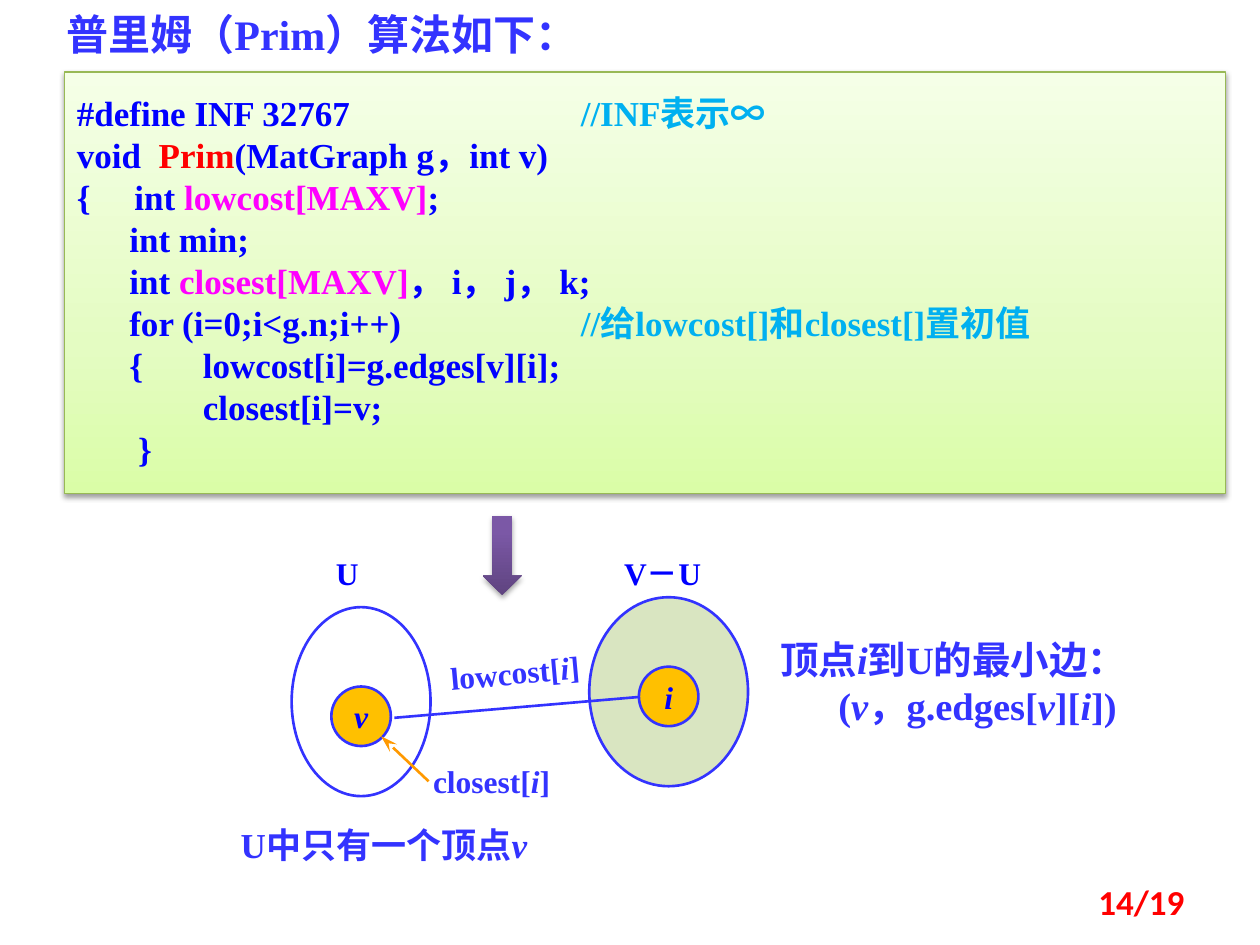
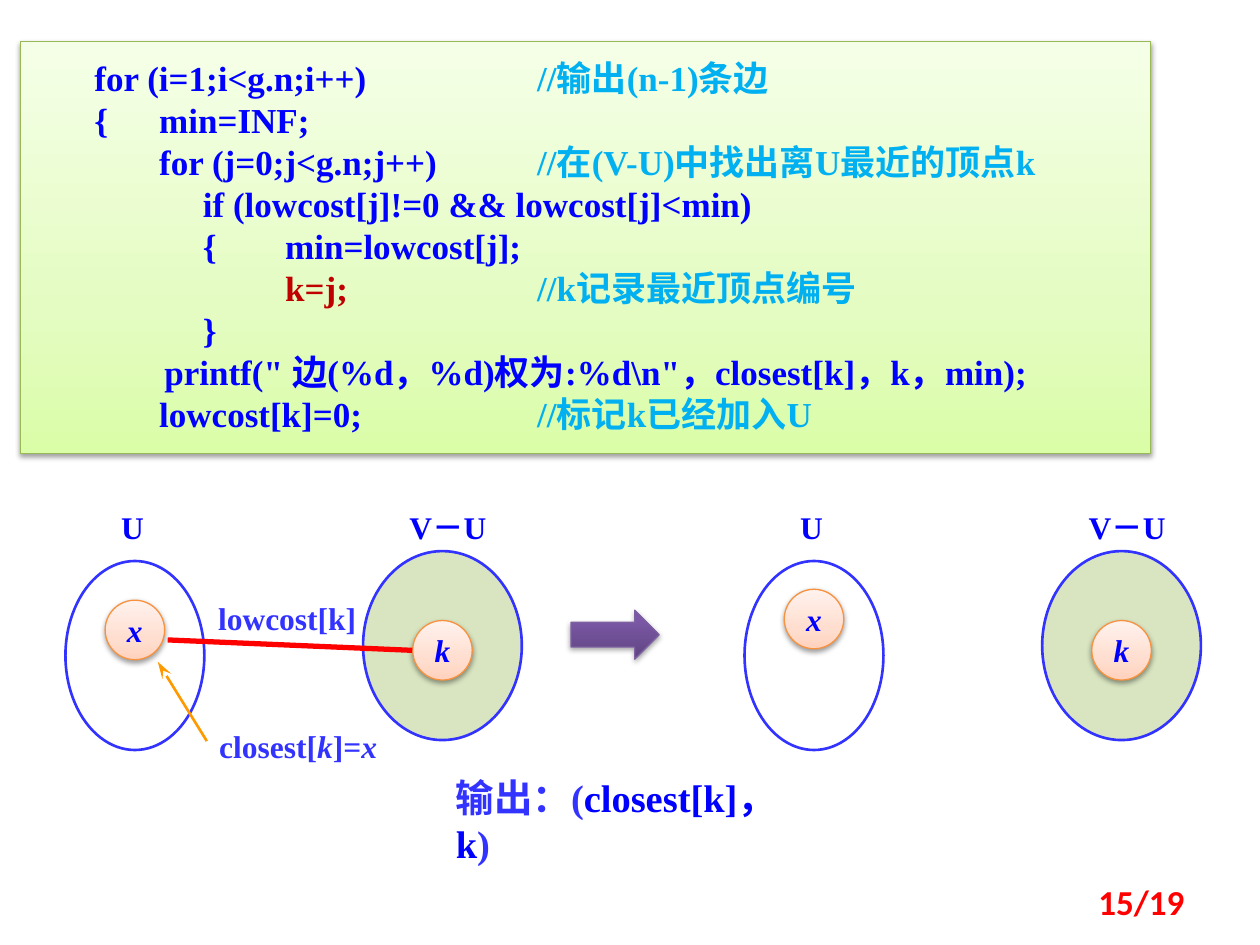
from dataclasses import dataclass
from typing import NamedTuple

from lxml import etree
from pptx import Presentation
from pptx import util as u
from pptx.dml.color import RGBColor
from pptx.enum import shapes, text
from pptx.oxml.ns import qn

COLORS = {
    "code": "0000FF", "comment": "00B0F0", "array": "FF00FF", "key": "C00000",
    "red": "FF0000", "note": "3333FF", "pointer": "FF9900",
    "panel_edge": "98B955", "peach_edge": "F69240", "arrow_edge": "7D60A0",
    "rest": "C3D69B", "amber": "FFC000", "black": "000000",
}
GRADIENTS = {
    "panel": ((0, "DAFDA7"), (35, "E4FCC2"), (100, "F5FFE7")),
    "peach": ((0, "FFD2BD"), (35, "FFDED0"), (100, "FFF2ED")),
    "arrow": ((0, "5F4480"), (80, "7B58A6"), (100, "7C57A8")),
}
SERIF = "Times New Roman"
TAB_STEP = 2.54
TAB_COUNT = 4
LEFT, CENTER, RIGHT = text.PP_ALIGN.LEFT, text.PP_ALIGN.CENTER, text.PP_ALIGN.RIGHT
TOP, MIDDLE = text.MSO_ANCHOR.TOP, text.MSO_ANCHOR.MIDDLE
KIND = shapes.MSO_SHAPE


class Area(NamedTuple):
    left: float
    top: float
    width: float
    height: float

    def lengths(self) -> list:
        return [u.Cm(value) for value in self]


class Span(NamedTuple):
    text: str
    color: str = "code"
    italic: bool = False


class Style(NamedTuple):
    fill: str = ""
    edge: str = ""
    weight: float = 0.75
    shadow: int = 0
    opacity: int = 100


@dataclass
class Label:
    area: Area
    lines: list
    size: int = 18
    align: int = LEFT
    anchor: int = TOP
    font: str = SERIF
    rotation: float = 0
    second_indent: float = 0


@dataclass
class Cut:
    left: float
    top: float
    inner: str
    outer: str
    inner_drop: float
    label_shift: float
    node: Style


PANEL = Style("panel", "panel_edge", shadow=38)
AMBER_NODE = Style("amber", "note", 1.5)
PEACH_NODE = Style("peach", "peach_edge", shadow=38)
CHOSEN_SET = Style(edge="note", weight=1.5)
REST_SET = Style("rest", "note", 1.5, opacity=62)


def rgb(name: str) -> RGBColor:
    return RGBColor.from_string(COLORS[name])


def mixed(source: str, color: str = "note") -> list:
    parts = source.split("*")
    return [Span(part, color, index % 2 == 1) for index, part in enumerate(parts) if part]


def write(frame, lines: list, size: int, align: int = LEFT, font: str = SERIF) -> None:
    for index, spans in enumerate(lines):
        para = frame.paragraphs[0] if index == 0 else frame.add_paragraph()
        para.alignment = align
        para.text = spans[0].text
        for extra in spans[1:]:
            para.add_run().text = extra.text
        for run, span in zip(para.runs, spans):
            run.font.name = font
            run.font.size = u.Pt(size)
            run.font.bold = True
            run.font.italic = span.italic
            run.font.color.rgb = rgb(span.color)


def add_tab_stops(para) -> None:
    stops = etree.SubElement(para._p.get_or_add_pPr(), qn("a:tabLst"))
    for number in range(1, TAB_COUNT + 1):
        etree.SubElement(stops, qn("a:tab"), pos=str(u.Cm(number * TAB_STEP)), algn="l")


def add_color(parent, value: str, opacity: int = 100) -> None:
    color = etree.SubElement(parent, qn("a:srgbClr"), val=value)
    if opacity < 100:
        etree.SubElement(color, qn("a:alpha"), val=str(opacity * 1000))


def paint(shape, style: Style) -> None:
    properties = shape._element.spPr
    if style.fill in GRADIENTS:
        shape.fill.gradient()
        shape.fill.gradient_angle = 90
        stops = properties.find(".//" + qn("a:gsLst"))
        stops.clear()
        for position, value in GRADIENTS[style.fill]:
            add_color(etree.SubElement(stops, qn("a:gs"), pos=str(position * 1000)), value)
    elif style.fill:
        shape.fill.solid()
        shape.fill.fore_color.rgb = rgb(style.fill)
        if style.opacity < 100:
            color = properties.find(".//" + qn("a:srgbClr"))
            etree.SubElement(color, qn("a:alpha"), val=str(style.opacity * 1000))
    else:
        shape.fill.background()
    if style.edge:
        shape.line.color.rgb = rgb(style.edge)
        shape.line.width = u.Pt(style.weight)
    else:
        shape.line.fill.background()
    shape.shadow.inherit = False
    if style.shadow:
        shadow = etree.SubElement(
            properties.find(qn("a:effectLst")), qn("a:outerShdw"),
            blurRad=str(u.Pt(3.1)), dist=str(u.Pt(1.6)), dir="5400000", rotWithShape="0")
        add_color(shadow, COLORS["black"], style.shadow)


def add_figure(page, kind: int, area: Area, style: Style):
    shape = page.shapes.add_shape(kind, *area.lengths())
    paint(shape, style)
    return shape


def add_label(page, label: Label) -> None:
    box = page.shapes.add_textbox(*label.area.lengths())
    box.rotation = label.rotation
    frame = box.text_frame
    frame.word_wrap = True
    frame.vertical_anchor = label.anchor
    write(frame, label.lines, label.size, label.align, label.font)
    for para in frame.paragraphs[1:]:
        para._p.get_or_add_pPr().set("marL", str(u.Cm(label.second_indent)))


def add_code(page, area: Area, padding: float, lines: list) -> None:
    frame = add_figure(page, KIND.RECTANGLE, area, PANEL).text_frame
    frame.word_wrap = True
    frame.vertical_anchor = TOP
    frame.margin_top = frame.margin_bottom = u.Cm(padding)
    write(frame, lines, 20)
    for para in frame.paragraphs:
        add_tab_stops(para)


def add_node(page, left: float, top: float, name: str, style: Style) -> None:
    node = add_figure(page, KIND.OVAL, Area(left, top, 1.2, 1.2), style)
    node.text_frame.word_wrap = False
    node.text_frame.vertical_anchor = MIDDLE
    write(node.text_frame, [[Span(name, italic=True)]], 18, CENTER)


def add_cut(page, cut: Cut) -> None:
    rest_left, rest_top = cut.left + 6, cut.top - 0.2
    add_figure(page, KIND.OVAL, Area(rest_left, rest_top, 3.2, 3.81), REST_SET)
    add_node(page, rest_left + 1, rest_top + 1.4, cut.outer, cut.node)
    add_figure(page, KIND.OVAL, Area(cut.left, cut.top, 2.8, 3.81), CHOSEN_SET)
    add_node(page, cut.left + 0.8, cut.top + cut.inner_drop, cut.inner, cut.node)
    label_left = cut.left + cut.label_shift
    for name, left, width in (("U", label_left, 1.4), ("V－U", label_left + 5.56, 3)):
        area = Area(left, cut.top - 1.2, width, 1.02)
        add_label(page, Label(area, [[Span(name)]], align=CENTER))


def add_line(page, start: tuple, end: tuple, color: str, weight: float = 1.5,
             head: bool = False) -> None:
    line = page.shapes.add_connector(
        shapes.MSO_CONNECTOR.STRAIGHT, *[u.Cm(value) for value in start + end])
    line.line.color.rgb = rgb(color)
    line.line.width = u.Pt(weight)
    properties = line._element.spPr
    if head:
        etree.SubElement(properties.find(qn("a:ln")), qn("a:tailEnd"),
                         type="stealth", w="med", len="lg")
    etree.SubElement(properties, qn("a:effectLst"))


def add_page(deck, number: int):
    page = deck.slides.add_slide(deck.slide_layouts[6])
    add_label(page, Label(Area(18.21, 17.67, 5.92, 1.02), [[Span(f"{number}/19", "red")]],
                          20, RIGHT, MIDDLE, "Calibri"))
    return page


def build_start(deck) -> None:
    page = add_page(deck, 14)
    add_code(page, Area(1.3, 1.45, 23.4, 8.5), 0.39, [
        [Span("#define INF 32767\t\t"), Span("//INF表示∞", "comment")],
        [Span("void  "), Span("Prim", "red"), Span("(MatGraph g，int v)")],
        [Span("{     int "), Span("lowcost[MAXV]", "array"), Span(";")],
        [Span("      int min;")],
        [Span("      int "), Span("closest[MAXV]", "array"), Span("， i， j， k;")],
        [Span("      for (i=0;i<g.n;i++)\t\t"),
         Span("//给lowcost[]和closest[]置初值", "comment")],
        [Span("      {\tlowcost[i]=g.edges[v][i];")],
        [Span("\tclosest[i]=v;")],
        [Span("       }")],
    ])
    add_cut(page, Cut(5.88, 12.24, "v", "i", 1.6, 0.42, AMBER_NODE))
    add_line(page, (7.95, 14.47), (12.88, 14.05), "note")
    add_line(page, (8.64, 15.75), (7.68, 14.84), "pointer", head=True)
    add_figure(page, KIND.DOWN_ARROW, Area(9.73, 10.4, 0.79, 1.6), Style("arrow", shadow=35))
    for label in (
        Label(Area(1.09, 0.05, 13.41, 1.27), [mixed("普里姆（Prim）算法如下：")], 24),
        Label(Area(8.68, 13.04, 3.4, 1.02), [mixed("lowcost[*i*]")], align=CENTER,
              rotation=354.9),
        Label(Area(8.48, 15.24, 4.19, 1.02), [mixed("closest[*i*]")]),
        Label(Area(4.36, 16.47, 6.76, 1.12), [mixed("U中只有一个顶点*v*")], 20, CENTER),
        Label(Area(15.48, 12.7, 8.94, 2.13),
              [mixed("顶点*i*到U的最小边："), mixed("(*v*，g.edges[*v*][*i*])")], 22,
              second_indent=1.17),
    ):
        add_label(page, label)


def build_loop(deck) -> None:
    page = add_page(deck, 15)
    add_code(page, Area(0.42, 0.84, 22.78, 8.31), 0.3, [
        [Span("       for (i=1;i<g.n;i++)\t\t"), Span("//输出(n-1)条边", "comment")],
        [Span("       {\tmin=INF;")],
        [Span("\tfor (j=0;j<g.n;j++)\t"), Span("//在(V-U)中找出离U最近的顶点k", "comment")],
        [Span("\t     if (lowcost[j]!=0 && lowcost[j]<min)")],
        [Span("\t     {\tmin=lowcost[j];")],
        [Span("\t\tk=j;\t\t", "key"), Span("//k记录最近顶点编号", "comment")],
        [Span("\t     }")],
        [Span('               printf(" 边(%d，%d)权为:%d\\n"，closest[k]，k，min);')],
        [Span("\tlowcost[k]=0;\t\t"), Span("//标记k已经加入U", "comment")],
    ])
    for left, drop in ((1.32, 0.79), (15.01, 0.57)):
        add_cut(page, Cut(left, 11.31, "x", "k", drop, 0.65, PEACH_NODE))
    add_line(page, (4.17, 14.94), (3.18, 13.34), "pointer", head=True)
    add_line(page, (3.38, 12.9), (8.31, 13.11), "red", 3)
    add_figure(page, KIND.RIGHT_ARROW, Area(11.51, 12.3, 1.78, 0.99),
               Style("arrow", "arrow_edge", shadow=35))
    for label in (
        Label(Area(4.09, 11.95, 3.4, 1.02), [mixed("lowcost[k]")], align=CENTER),
        Label(Area(4.17, 14.53, 4.19, 1.02), [mixed("closest[*k*]=*x*")]),
        Label(Area(8.94, 15.47, 7.75, 1.19),
              [[Span("输出：(", "note"), Span("closest[k]， k"), Span(")", "note")]], 22),
    ):
        add_label(page, label)


def main() -> None:
    deck = Presentation()
    deck.slide_width, deck.slide_height = u.Cm(25.4), u.Cm(19.05)
    build_start(deck)
    build_loop(deck)
    deck.save("out.pptx")


if __name__ == "__main__":
    main()
